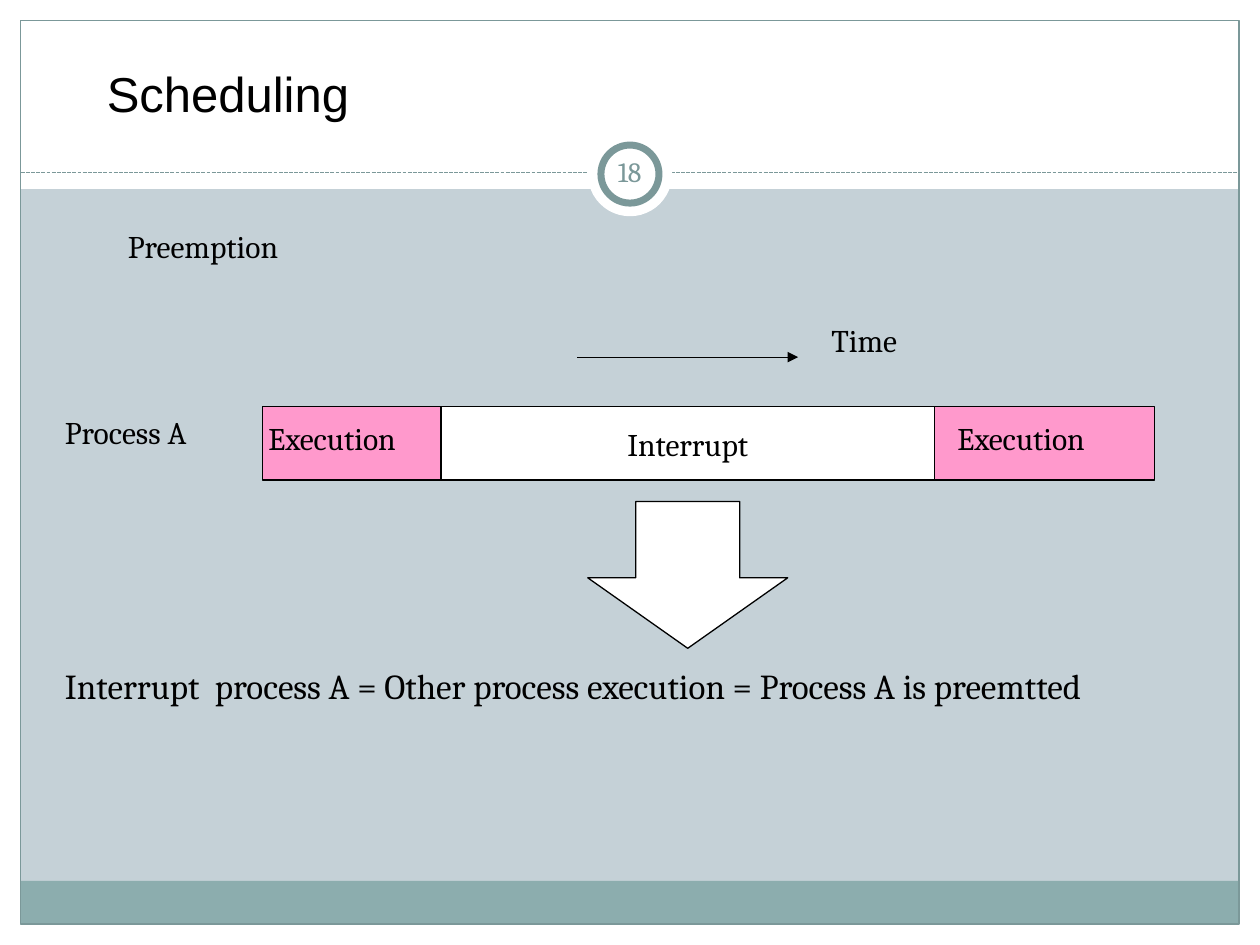
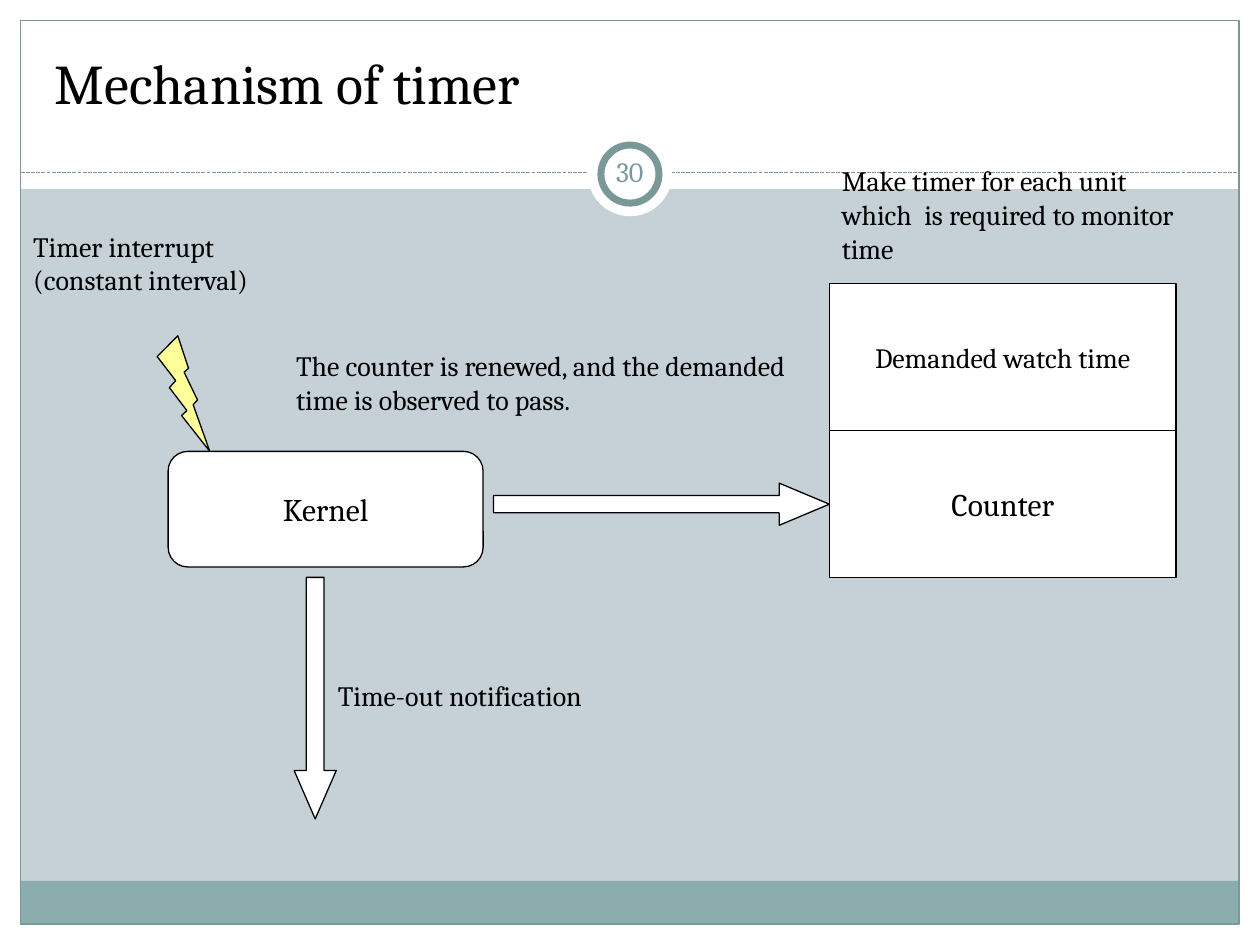
from lxml import etree
from pptx import Presentation
from pptx import util as u
from pptx.dml.color import RGBColor
from pptx.enum import dml, shapes, text
from pptx.oxml.ns import qn

COLORS = {
    "background": "C5D1D7",
    "white": "FFFFFF",
    "black": "000000",
    "footer": "8CADAE",
    "accent": "7B9899",
    "execution": "FF99CC",
    "bolt": "FFFF99",
}
FONT = "Cambria"
WIDTH, HEIGHT, MARGIN = 25.4, 19.05, 0.42
BADGE_CENTER = (WIDTH / 2, 3.51)
SHAPE = shapes.MSO_SHAPE
LEFT, CENTER = text.PP_ALIGN.LEFT, text.PP_ALIGN.CENTER
TOP, MIDDLE = text.MSO_ANCHOR.TOP, text.MSO_ANCHOR.MIDDLE


def rgb(name):
    return RGBColor.from_string(COLORS[name])


def lengths(values):
    return [u.Cm(value) for value in values]


def write(shape, words, size, color="black", font=FONT, align=LEFT, anchor=TOP, wrap=True):
    frame = shape.text_frame
    frame.word_wrap = wrap
    frame.auto_size = text.MSO_AUTO_SIZE.NONE
    frame.vertical_anchor = anchor
    paragraph = frame.paragraphs[0]
    paragraph.alignment = align
    run = paragraph.add_run()
    run.text = words
    run.font.name = font
    run.font.size = u.Pt(size)
    run.font.color.rgb = rgb(color)
    return frame


def add_block(slide, kind, box, fill="white", line="black", weight=0.75, adjustments=()):
    shape = slide.shapes.add_shape(kind, *lengths(box))
    shape.shadow.inherit = False
    for index, value in enumerate(adjustments):
        shape.adjustments[index] = value
    if fill:
        shape.fill.solid()
        shape.fill.fore_color.rgb = rgb(fill)
    else:
        shape.fill.background()
    if line:
        shape.line.color.rgb = rgb(line)
        shape.line.width = u.Pt(weight)
    else:
        shape.line.fill.background()
    return shape


def add_box(slide, kind, box, words, size, adjustments=()):
    shape = add_block(slide, kind, box, adjustments=adjustments)
    write(shape, words, size, align=CENTER, anchor=MIDDLE, wrap=False)


def add_circle(slide, diameter, line=None, weight=0.75):
    x, y = BADGE_CENTER
    box = (x - diameter / 2, y - diameter / 2, diameter, diameter)
    add_block(slide, SHAPE.OVAL, box, line=line, weight=weight)


def add_label(slide, box, words, size, **style):
    return write(slide.shapes.add_textbox(*lengths(box)), words, size, **style)


def add_line(slide, start, end, color="black"):
    connector = slide.shapes.add_connector(
        shapes.MSO_CONNECTOR.STRAIGHT, *lengths(start + end))
    connector.line.color.rgb = rgb(color)
    connector.line.width = u.Pt(0.75)
    etree.SubElement(connector.element.spPr, qn("a:effectLst"))
    return connector


def add_arrow(slide, start, end):
    line = add_line(slide, start, end).line
    etree.SubElement(line._get_or_add_ln(), qn("a:tailEnd"), type="triangle")


def draw_frame(slide):
    inner_width = WIDTH - 2 * MARGIN
    bands = [
        ((0, HEIGHT - MARGIN, WIDTH, MARGIN), "white"),
        ((0, 0, WIDTH, 3.81), "white"),
        ((0, 0, MARGIN, HEIGHT), "white"),
        ((WIDTH - MARGIN, 0, MARGIN, HEIGHT), "white"),
        ((MARGIN, 17.76, inner_width, 0.87), "footer"),
    ]
    for box, fill in bands:
        add_block(slide, SHAPE.RECTANGLE, box, fill, line=None)
    border = (MARGIN, MARGIN, inner_width, HEIGHT - 2 * MARGIN)
    add_block(slide, SHAPE.RECTANGLE, border, fill=None, line="accent")
    divider = add_line(slide, (MARGIN, 3.48), (WIDTH - MARGIN, 3.48), "accent")
    divider.line.dash_style = dml.MSO_LINE.SQUARE_DOT
    add_circle(slide, 1.7)
    add_circle(slide, 1.17, "accent", 4)


def move_frame_to_layout(slide):
    tree = slide.slide_layout.shapes.element
    frame = [shape for shape in slide.shapes if not shape.is_placeholder]
    for index, shape in enumerate(frame):
        shape.element.xpath(".//p:cNvPr")[0].set("id", str(100 + index))
        tree.insert(2 + index, shape.element)


def add_title(slide, box, words, size, font=FONT):
    title = slide.shapes.title
    title.left, title.top, title.width, title.height = lengths(box)
    return write(title, words, size, font=font)


def add_number(slide, number):
    x, y = BADGE_CENTER
    frame = add_label(slide, (x - 0.64, y - 0.06 - 0.61, 1.27, 1.22), number, 16,
                      color="accent", align=CENTER, anchor=MIDDLE)
    frame.margin_left = frame.margin_right = u.Cm(0.13)


def build_scheduling(slide):
    title = add_title(slide, (1.9, 1.07, 21.6, 1.7), "Scheduling", 28, "Arial")
    title.margin_top = u.Cm(0.2)
    add_label(slide, (2.33, 4.45, 10.37, 1.02), "Preemption", 18)

    bar_top, bar_height = 8.2, 1.48
    add_block(slide, SHAPE.RECTANGLE, (5.29, bar_top, 17.99, bar_height), "execution")
    add_box(slide, SHAPE.RECTANGLE, (8.89, bar_top, 9.95, bar_height), "Interrupt", 18)
    for left in (5.16, 19.05):
        add_label(slide, (left, 8.32, 4.6, 1.02), "Execution", 18)
    add_label(slide, (1.06, bar_top, 4.45, 1.02), "Process A", 18)

    add_block(slide, SHAPE.DOWN_ARROW, (11.85, 10.11, 4.03, 2.96),
              adjustments=(0.52, 0.48))
    add_label(slide, (1.06, 13.28, 24.33, 1.96),
              "Interrupt  process A = Other process execution = Process A is preemtted", 20)
    add_arrow(slide, (11.64, 7.2), (16.09, 7.2))
    add_label(slide, (16.51, 6.35, 2.74, 1.02), "Time", 18)
    add_number(slide, "18")


def build_timer(slide):
    add_title(slide, (0.85, 0.85, 15.03, 1.63), "Mechanism of timer", 32)
    table_left, table_top, row_height = 16.72, 5.71, 2.97
    for row, (words, size) in enumerate([("Demanded watch time", 16), ("Counter", 18)]):
        box = (table_left, table_top + row * row_height, 6.99, row_height)
        add_box(slide, SHAPE.RECTANGLE, box, words, size)
    add_box(slide, SHAPE.ROUNDED_RECTANGLE, (3.39, 9.1, 6.35, 2.33), "Kernel", 18, (0.17,))
    add_block(slide, SHAPE.LIGHTNING_BOLT, (3.17, 6.77, 1.06, 2.33), "bolt")
    add_block(slide, SHAPE.RIGHT_ARROW, (9.95, 9.74, 6.77, 0.85), adjustments=(0.41, 1.19))
    add_block(slide, SHAPE.DOWN_ARROW, (5.93, 11.64, 0.85, 4.87), adjustments=(0.42, 1.15))

    notes = [
        ((6.56, 13.55, 6.99, 0.94), "Time-out notification"),
        ((0.42, 4.5, 6.12, 1.63), "Timer interrupt (constant interval)"),
        ((5.72, 6.91, 11, 1.63),
         "The counter is renewed, and the demanded time is observed to pass."),
        ((table_left, 3.18, 7.62, 2.29),
         "Make timer for each unit which  is required to monitor time"),
    ]
    for box, words in notes:
        add_label(slide, box, words, 16)
    add_number(slide, "30")


def main():
    presentation = Presentation()
    presentation.slide_width, presentation.slide_height = lengths((WIDTH, HEIGHT))
    background = presentation.slide_master.background.fill
    background.solid()
    background.fore_color.rgb = rgb("background")

    layout = presentation.slide_layouts[5]
    scheduling = presentation.slides.add_slide(layout)
    draw_frame(scheduling)
    move_frame_to_layout(scheduling)
    build_scheduling(scheduling)
    build_timer(presentation.slides.add_slide(layout))
    presentation.save("out.pptx")


if __name__ == "__main__":
    main()
